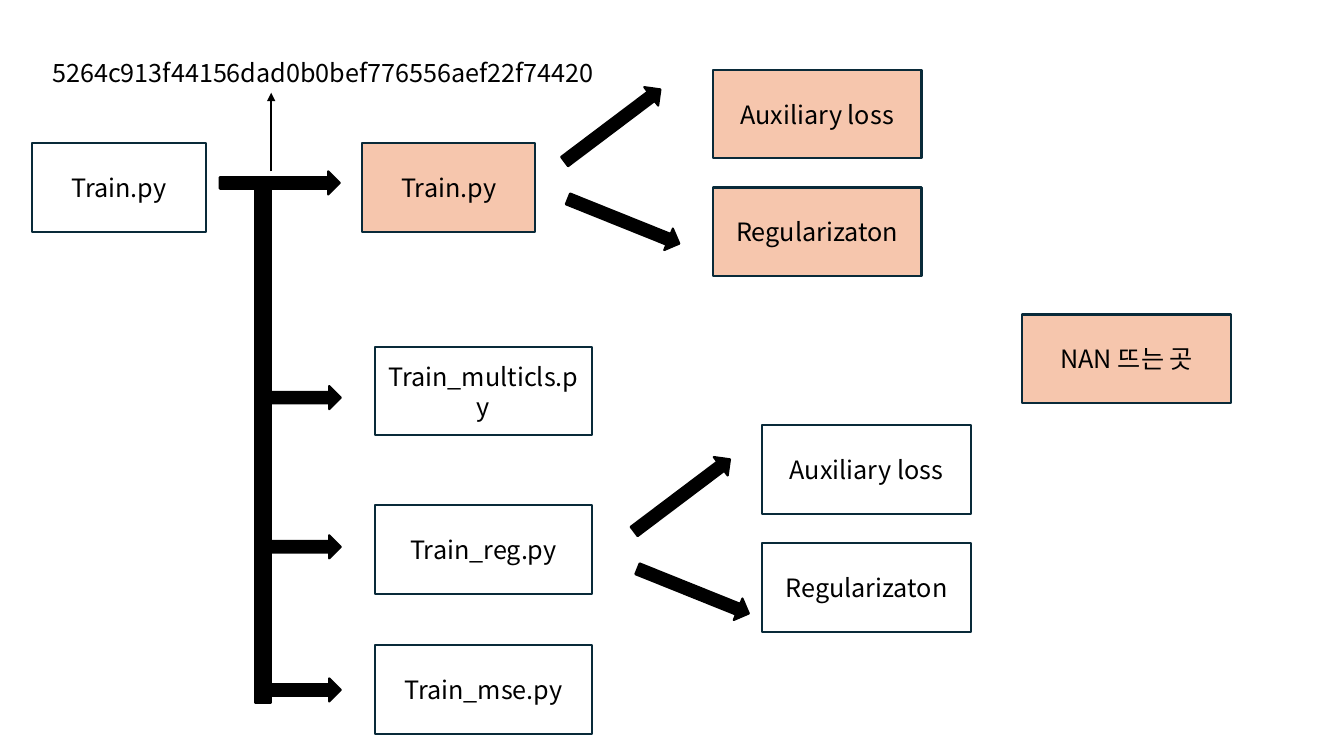
from lxml import etree
from pptx import Presentation
from pptx.dml.color import RGBColor
from pptx.enum import shapes, text
from pptx.oxml import ns
from pptx.util import Inches, Pt

BLACK = RGBColor(0x00, 0x00, 0x00)
NAVY = RGBColor(0x09, 0x2A, 0x39)
PEACH = RGBColor(0xF6, 0xC6, 0xAD)
FONT = "Noto Sans CJK KR"
BOX_HEIGHT = 0.88
ARROW_HEIGHT = 0.23


def write(tf, content, size=18, color=BLACK, align=None, anchor=None, wrap=True):
    tf.word_wrap = wrap
    if anchor is not None:
        tf.vertical_anchor = anchor
    p = tf.paragraphs[0]
    p.alignment = align
    r = p.add_run()
    r.text = content
    r.font.name = FONT
    r.font.size = Pt(size)
    r.font.color.rgb = color
    etree.SubElement(r.font._element, ns.qn("a:ea"), typeface=FONT)


class Diagram:
    def __init__(self, slide, line_width=1.5):
        self.s = slide
        self.line_width = Pt(line_width)

    def shape(self, kind, x, y, w, h, fill, line):
        sp = self.s.shapes.add_shape(kind, Inches(x), Inches(y), Inches(w), Inches(h))
        sp.shadow.inherit = False
        if fill is None:
            sp.fill.background()
        else:
            sp.fill.solid()
            sp.fill.fore_color.rgb = fill
        sp.line.color.rgb = line
        sp.line.width = self.line_width
        return sp

    def box(self, content, x, y, w, fill=None):
        sp = self.shape(shapes.MSO_SHAPE.RECTANGLE, x, y, w, BOX_HEIGHT, fill, NAVY)
        write(sp.text_frame, content, align=text.PP_ALIGN.CENTER,
              anchor=text.MSO_ANCHOR.MIDDLE)

    def arrow(self, x, y, w, rotation=0):
        sp = self.shape(shapes.MSO_SHAPE.RIGHT_ARROW, x, y, w, ARROW_HEIGHT, BLACK, BLACK)
        sp.rotation = rotation

    def trunk(self, x, y, w, h):
        self.shape(shapes.MSO_SHAPE.RECTANGLE, x, y, w, h, BLACK, BLACK)

    def label(self, content, x, y, w, h):
        sp = self.s.shapes.add_textbox(Inches(x), Inches(y), Inches(w), Inches(h))
        sp.text_frame.auto_size = text.MSO_AUTO_SIZE.SHAPE_TO_FIT_TEXT
        write(sp.text_frame, content)

    def pointer(self, x1, y1, x2, y2):
        c = self.s.shapes.add_connector(shapes.MSO_CONNECTOR.STRAIGHT, Inches(x1),
                                        Inches(y1), Inches(x2), Inches(y2))
        c.line.color.rgb = BLACK
        c.line.width = self.line_width
        etree.SubElement(c.line._get_or_add_ln(), ns.qn("a:tailEnd"), type="triangle")
        etree.SubElement(c._element.spPr, ns.qn("a:effectLst"))

    def fork(self, arrow_x, arrow_y, box_x, box_y, fill=None):
        self.arrow(arrow_x, arrow_y, 1.19, rotation=323)
        self.arrow(arrow_x + 0.11, arrow_y + 0.95, 1.19, rotation=21.9)
        for i, content in enumerate(("Auxiliary loss", "Regularizaton")):
            self.box(content, box_x, box_y + i * 1.17, 2.07, fill)


def main():
    prs = Presentation()
    prs.slide_width, prs.slide_height = Inches(13.33), Inches(7.5)
    d = Diagram(prs.slides.add_slide(prs.slide_layouts[6]))

    d.box("Train.py", 0.32, 1.42, 1.72)
    d.box("Train.py", 3.59, 1.42, 1.72, PEACH)
    d.arrow(2.18, 1.7, 1.19)

    variants = (("Train_multicls.py", 3.44, 3.83),
                ("Train_reg.py", 5.01, 5.31),
                ("Train_mse.py", 6.4, 6.73))
    for content, box_y, arrow_y in variants:
        d.box(content, 3.72, box_y, 2.15)
        d.arrow(2.53, arrow_y, 0.85)
    d.trunk(2.53, 1.77, 0.16, 5.2)

    d.fork(5.48, 1.13, 7.07, 0.69, PEACH)
    d.fork(6.17, 4.8, 7.56, 4.22)

    d.label("5264c913f44156dad0b0bef776556aef22f74420", 0.42, 0.52, 6.67, 0.4)
    d.pointer(2.69, 1.7, 2.69, 0.92)
    d.box("NAN 뜨는 곳", 10.14, 3.12, 2.07, PEACH)

    prs.save("out.pptx")


if __name__ == "__main__":
    main()
